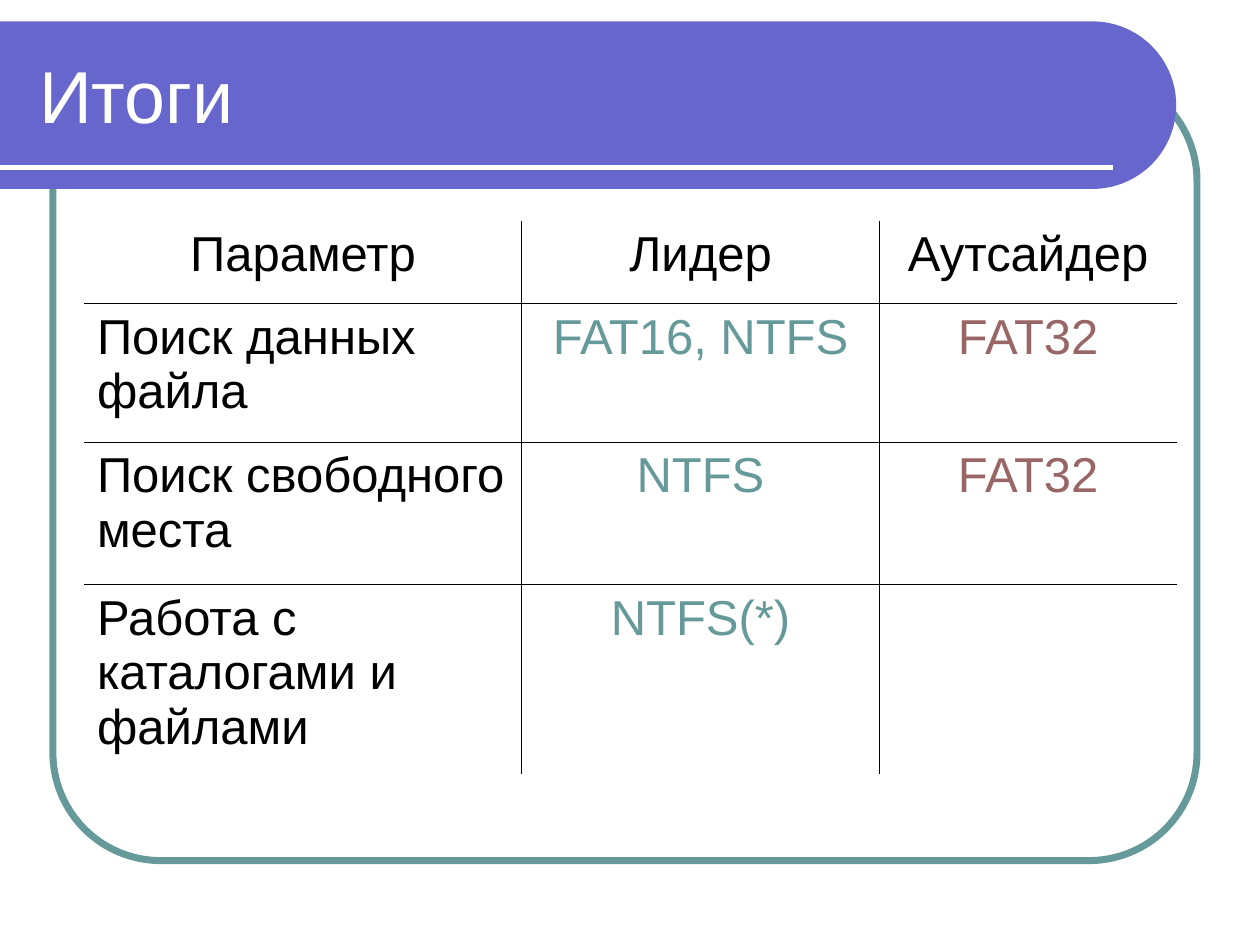
import math
from lxml import etree
from pptx import Presentation
from pptx.dml.color import RGBColor
from pptx.enum import shapes, text
from pptx.oxml import ns
from pptx.util import Inches, Pt

VIOLET = RGBColor(0x66, 0x66, 0xCC)
TEAL = RGBColor(0x66, 0x99, 0x99)
MAROON = RGBColor(0x99, 0x66, 0x66)
BLACK = RGBColor(0, 0, 0)
WHITE = RGBColor(0xFF, 0xFF, 0xFF)


def add_run(paragraph, words, size, color):
    run = paragraph.add_run()
    run.text = words
    run.font.name = "Arial"
    run.font.size = Pt(size)
    run.font.color.rgb = color


def set_borders(cell, visible):
    """Draw the sides whose letters (L, R, T, B) are in visible; clear the others."""
    properties = cell._tc.get_or_add_tcPr()
    for position, side in enumerate("LRTB"):
        line = etree.Element(ns.qn(f"a:ln{side}"), w=str(Pt(0.45)))
        if side in visible:
            fill = etree.SubElement(line, ns.qn("a:solidFill"))
            etree.SubElement(fill, ns.qn("a:srgbClr"), val=str(BLACK))
        else:
            etree.SubElement(line, ns.qn("a:noFill"))
        properties.insert(position, line)


presentation = Presentation()
presentation.slide_width = Inches(10)
presentation.slide_height = Inches(7.5)
slide = presentation.slides.add_slide(presentation.slide_layouts[5])

# Rounded frame
frame = slide.shapes.add_shape(
    shapes.MSO_SHAPE.ROUNDED_RECTANGLE,
    Inches(0.42), Inches(0.58), Inches(9.08), Inches(6.25))
frame.adjustments[0] = 0.137
frame.shadow.inherit = False
frame.fill.background()
frame.line.color.rgb = TEAL
frame.line.width = Pt(4)

# Banner with a half-round right end
radius, center_x, center_y = 0.665, 8.67, 0.835
arc = [(center_x + radius * math.cos(math.radians(angle)),
        center_y + radius * math.sin(math.radians(angle)))
       for angle in range(-90, 91, 3)]
outline = [(Inches(x), Inches(y)) for x, y in arc + [(0, center_y + radius)]]
builder = slide.shapes.build_freeform(0, Inches(center_y - radius))
builder.add_line_segments(outline, close=True)
banner = builder.convert_to_shape()
banner.shadow.inherit = False
banner.fill.solid()
banner.fill.fore_color.rgb = VIOLET
banner.line.fill.background()

underline = slide.shapes.add_connector(
    shapes.MSO_CONNECTOR.STRAIGHT, 0, Inches(1.33), Inches(8.83), Inches(1.33))
underline.line.color.rgb = WHITE
underline.line.width = Pt(3)
etree.SubElement(underline._element.spPr, ns.qn("a:effectLst"))

# Title, brought in front of the banner
title = slide.shapes.title
slide.shapes._spTree.append(title._element)
title.left, title.top = Inches(0.21), Inches(0.25)
title.width, title.height = Inches(8.77), Inches(1)
title.text_frame.vertical_anchor = text.MSO_ANCHOR.MIDDLE
title_paragraph = title.text_frame.paragraphs[0]
title_paragraph.alignment = text.PP_ALIGN.LEFT
add_run(title_paragraph, "Итоги", 42, WHITE)

# Results table: inner rules only
rows = [
    ("Параметр", "Лидер", "Аутсайдер"),
    ("Поиск данных файла", "FAT16, NTFS", "FAT32"),
    ("Поиск свободного места", "NTFS", "FAT32"),
    ("Работа с каталогами и файлами", "NTFS(*)", ""),
]
column_widths = [3.47, 2.84, 2.36]
row_heights = [0.66, 1.1, 1.13, 1.5]
column_colors = [BLACK, TEAL, MAROON]

table = slide.shapes.add_table(
    len(rows), len(column_widths), Inches(0.67), Inches(1.75),
    Inches(sum(column_widths)), Inches(sum(row_heights))).table
table.first_row = False
table.horz_banding = False
for column, width in zip(table.columns, column_widths):
    column.width = Inches(width)
for row, height in zip(table.rows, row_heights):
    row.height = Inches(height)

last_row, last_column = len(rows) - 1, len(column_widths) - 1
for r, row in enumerate(rows):
    for c, words in enumerate(row):
        cell = table.cell(r, c)
        cell.fill.background()
        inner_sides = (("L" if c > 0 else "") + ("R" if c < last_column else "")
                       + ("T" if r > 0 else "") + ("B" if r < last_row else ""))
        set_borders(cell, inner_sides)
        if words:
            paragraph = cell.text_frame.paragraphs[0]
            centered = r == 0 or c > 0
            paragraph.alignment = text.PP_ALIGN.CENTER if centered else text.PP_ALIGN.LEFT
            add_run(paragraph, words, 28, BLACK if r == 0 else column_colors[c])

presentation.save("out.pptx")
